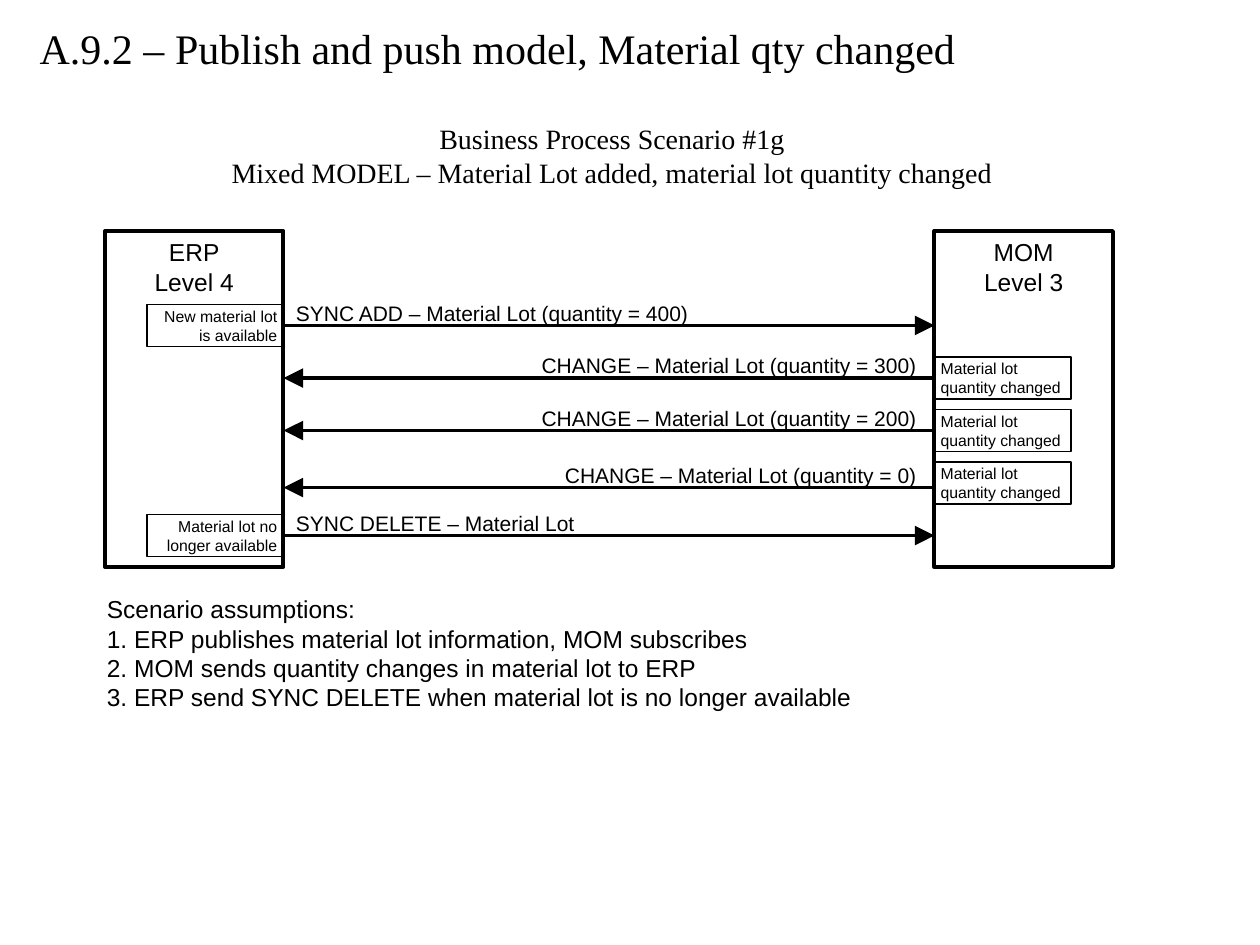
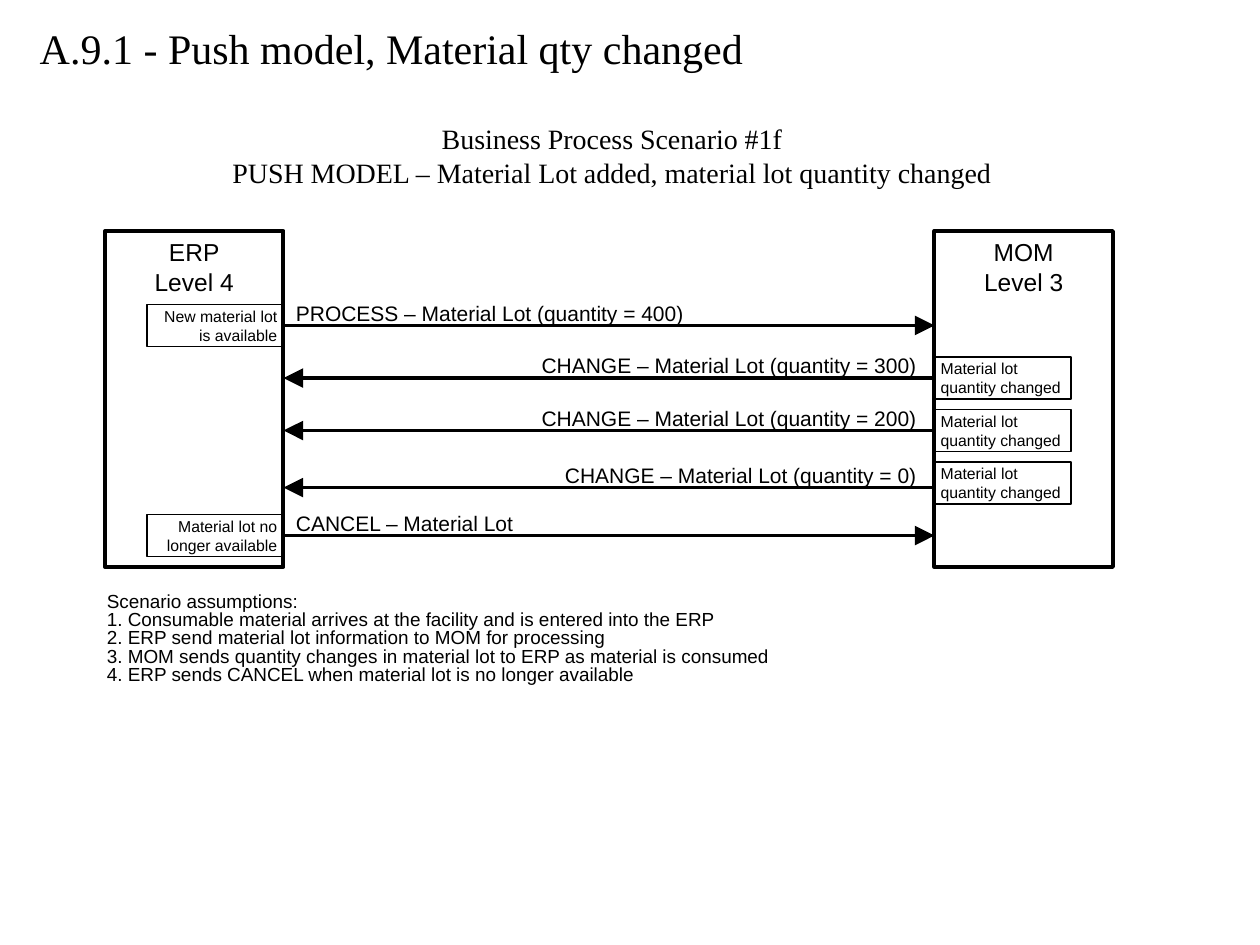
from dataclasses import dataclass

from lxml.etree import SubElement
from pptx import Presentation
from pptx.dml.color import RGBColor
from pptx.enum.shapes import MSO_CONNECTOR, MSO_SHAPE
from pptx.enum.text import MSO_ANCHOR as Anchor, MSO_AUTO_SIZE as AutoSize, PP_ALIGN as Align
from pptx.oxml.ns import qn
from pptx.util import Pt

# Shared style, lengths in points
BLACK = "000000"
SANS, SERIF = "Arial", "Times New Roman"
THICK, THIN = 2.25, 0.75

# Shared diagram geometry
SYSTEM_TOP, SYSTEM_WIDTH, SYSTEM_HEIGHT = 132, 102, 192
ERP_LEFT, MOM_LEFT = 60, 534
ERP_EDGE = ERP_LEFT + SYSTEM_WIDTH
NOTE_WIDTH, NOTE_HEIGHT = 78, 24
FIRST_NOTE_TOP, ROW_PITCH = 174, 30
LABEL_RISE, LABEL_HEIGHT, LABEL_RIGHT = 18, 21.6, 531


@dataclass(frozen=True)
class Box:
    left: float
    top: float
    width: float
    height: float


@dataclass(frozen=True)
class TextStyle:
    size: float
    font: str = SANS
    align: Align = Align.LEFT
    anchor: Anchor = Anchor.TOP
    margin: float = 7.2
    wrap: bool = True
    grow: bool = False
    line_spacing: float = 1.0


@dataclass(frozen=True)
class Message:
    label: str
    label_width: float
    note: str
    from_erp: bool = False
    arrow_drop: float = 0


@dataclass(frozen=True)
class Scenario:
    title: str
    title_width: float
    heading: str
    first_message: Message
    last_message: Message
    assumptions: str
    assumptions_style: TextStyle


TITLE = TextStyle(24, SERIF, grow=True)
HEADING = TextStyle(16, SERIF, Align.CENTER, wrap=False, grow=True)
SYSTEM = TextStyle(14, align=Align.CENTER)

NEW_LOT = "New material lot\nis available"
LOT_GONE = "Material lot no\nlonger available"
LOT_CHANGED = "Material lot\nquantity changed"

CHANGES = [
    Message("CHANGE – Material Lot (quantity = 300)", 229, LOT_CHANGED),
    Message("CHANGE – Material Lot (quantity = 200)", 229, LOT_CHANGED),
    Message("CHANGE – Material Lot (quantity = 0)", 216, LOT_CHANGED, arrow_drop=2.6),
]

SCENARIOS = [
    Scenario(
        "A.9.2 – Publish and push model, Material qty changed", 674.6,
        "Business Process Scenario #1g\n"
        "Mixed MODEL – Material Lot added, material lot quantity changed",
        Message("SYNC ADD – Material Lot (quantity = 400)", 240, NEW_LOT, True),
        Message("SYNC DELETE – Material Lot", 176, LOT_GONE, True),
        "Scenario assumptions:\n"
        "1. ERP publishes material lot information, MOM subscribes\n"
        "2. MOM sends quantity changes in material lot to ERP\n"
        "3. ERP send SYNC DELETE when material lot is no longer available",
        TextStyle(14),
    ),
    Scenario(
        "A.9.1 - Push model, Material qty changed", 440.6,
        "Business Process Scenario #1f\n"
        "PUSH MODEL – Material Lot added, material lot quantity changed",
        Message("PROCESS – Material Lot (quantity = 400)", 237, NEW_LOT, True),
        Message("CANCEL – Material Lot", 140, LOT_GONE, True),
        "Scenario assumptions:\n"
        "1. Consumable material arrives at the facility and is entered into the ERP\n"
        "2. ERP send material lot information to MOM for processing\n"
        "3. MOM sends quantity changes in material lot to ERP as material is consumed\n"
        "4. ERP sends CANCEL when material lot is no longer available",
        TextStyle(10.8, line_spacing=0.8),
    ),
]


def color(value: str) -> RGBColor:
    return RGBColor.from_string(value)


def write_text(shape, text: str, style: TextStyle) -> None:
    text_frame = shape.text_frame
    text_frame.text = text
    text_frame.word_wrap = style.wrap
    text_frame.auto_size = AutoSize.SHAPE_TO_FIT_TEXT if style.grow else AutoSize.NONE
    text_frame.vertical_anchor = style.anchor
    text_frame.margin_left = text_frame.margin_right = Pt(style.margin)
    text_frame.margin_top = text_frame.margin_bottom = Pt(3.6)
    for paragraph in text_frame.paragraphs:
        paragraph.alignment = style.align
        paragraph.line_spacing = style.line_spacing
        for run in paragraph.runs:
            run.font.size = Pt(style.size)
            run.font.name = style.font
            run.font.color.rgb = color(BLACK)


def add_text(slide, box: Box, text: str, style: TextStyle) -> None:
    shape = slide.shapes.add_textbox(Pt(box.left), Pt(box.top), Pt(box.width), Pt(box.height))
    write_text(shape, text, style)


def add_outline(slide, box: Box, text: str, style: TextStyle, line_width: float) -> None:
    shape = slide.shapes.add_shape(
        MSO_SHAPE.RECTANGLE, Pt(box.left), Pt(box.top), Pt(box.width), Pt(box.height))
    shape.shadow.inherit = False
    shape.fill.background()
    shape.line.color.rgb = color(BLACK)
    shape.line.width = Pt(line_width)
    write_text(shape, text, style)


def add_arrow(slide, start: float, end: float, y: float) -> None:
    connector = slide.shapes.add_connector(
        MSO_CONNECTOR.STRAIGHT, Pt(start), Pt(y), Pt(end), Pt(y))
    connector.line.color.rgb = color(BLACK)
    connector.line.width = Pt(THICK)
    SubElement(connector.line._get_or_add_ln(), qn("a:tailEnd"), type="triangle", w="lg", len="lg")
    SubElement(connector._element.spPr, qn("a:effectLst"))


def add_message(slide, row: int, message: Message) -> None:
    """Draw the sender's note, the arrow to the receiver and its label."""
    note_top = FIRST_NOTE_TOP + row * ROW_PITCH
    arrow_y = note_top + NOTE_HEIGHT / 2 + message.arrow_drop
    if message.from_erp:
        start, end = ERP_EDGE, MOM_LEFT
        note_left, note_align = ERP_EDGE - NOTE_WIDTH, Align.RIGHT
        label_left, label_align = ERP_EDGE, Align.LEFT
    else:
        start, end = MOM_LEFT, ERP_EDGE
        note_left, note_align = MOM_LEFT, Align.LEFT
        label_left, label_align = LABEL_RIGHT - message.label_width, Align.RIGHT
    add_outline(slide, Box(note_left, note_top, NOTE_WIDTH, NOTE_HEIGHT), message.note,
                TextStyle(9, align=note_align, anchor=Anchor.MIDDLE, margin=3.6, wrap=False), THIN)
    add_arrow(slide, start, end, arrow_y)
    add_text(slide, Box(label_left, arrow_y - LABEL_RISE, message.label_width, LABEL_HEIGHT),
             message.label, TextStyle(12, align=label_align, wrap=False, grow=True))


def build_slide(presentation, scenario: Scenario) -> None:
    slide = presentation.slides.add_slide(presentation.slide_layouts[6])

    # Title and scenario heading
    add_text(slide, Box(15.6, 9.4, scenario.title_width, 36), scenario.title, TITLE)
    add_text(slide, Box(125.2, 66, 449, 46), scenario.heading, HEADING)

    # The two systems
    for left, name in [(ERP_LEFT, "ERP\nLevel 4"), (MOM_LEFT, "MOM\nLevel 3")]:
        add_outline(slide, Box(left, SYSTEM_TOP, SYSTEM_WIDTH, SYSTEM_HEIGHT), name, SYSTEM, THICK)

    # Message exchange
    messages = [scenario.first_message, *CHANGES, scenario.last_message]
    for row, message in enumerate(messages):
        add_message(slide, row, message)

    # Assumptions
    add_text(slide, Box(54, 336, 576, 78), scenario.assumptions, scenario.assumptions_style)


def main() -> None:
    presentation = Presentation()
    presentation.slide_width, presentation.slide_height = Pt(720), Pt(540)
    for scenario in SCENARIOS:
        build_slide(presentation, scenario)
    presentation.save("out.pptx")


if __name__ == "__main__":
    main()
